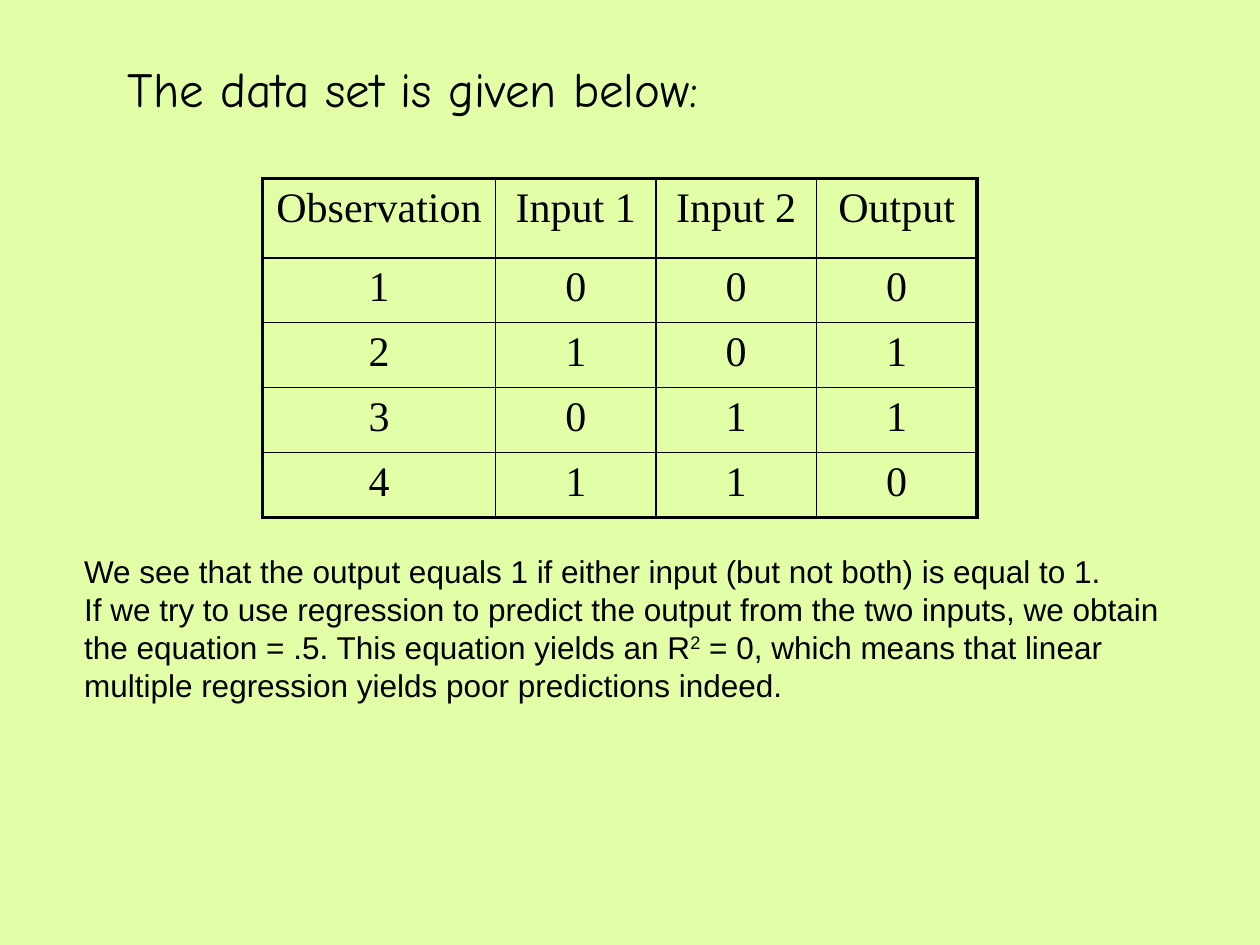
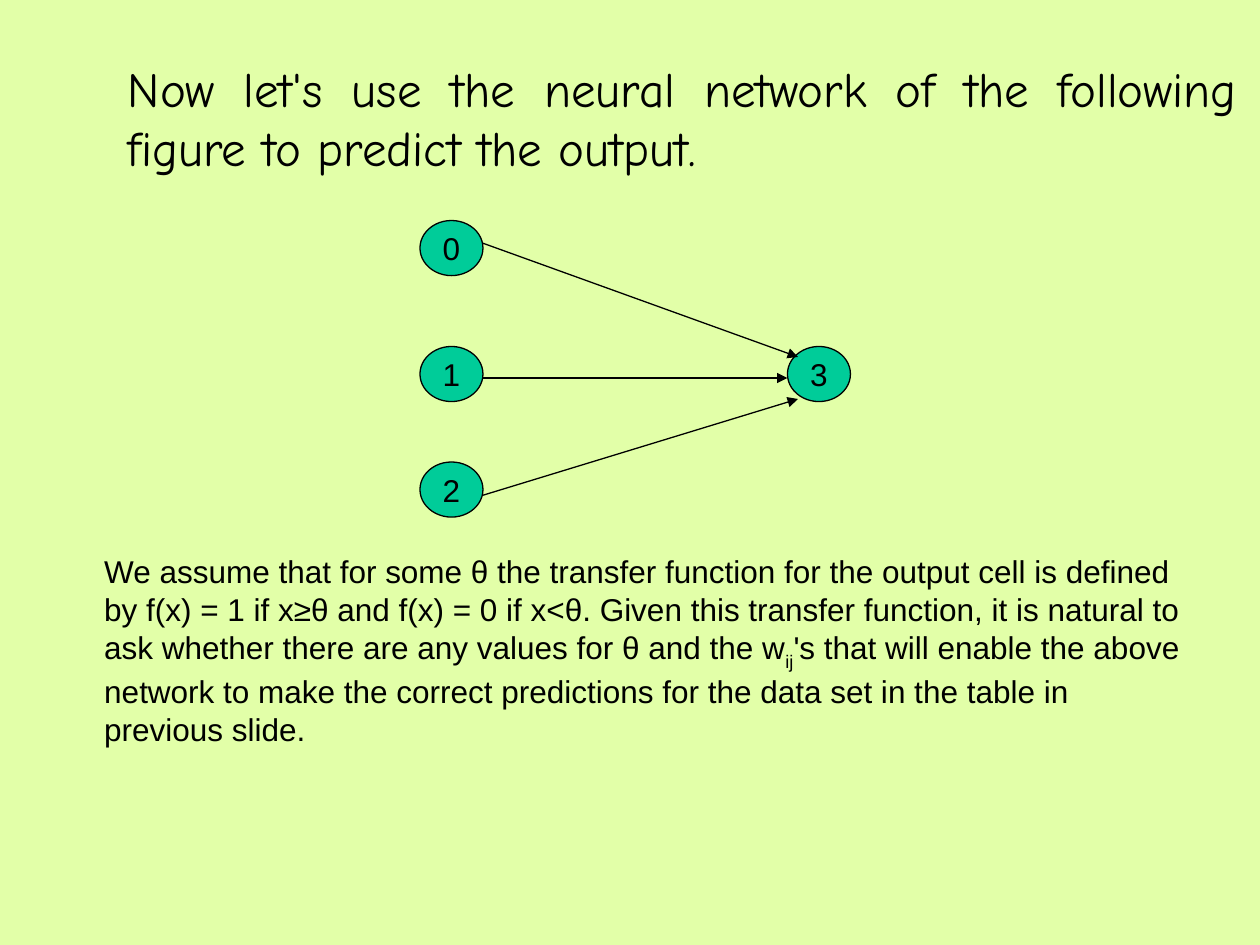
from dataclasses import dataclass

from lxml.etree import SubElement
from pptx import Presentation
from pptx.dml.color import RGBColor
from pptx.enum.shapes import MSO_CONNECTOR as Connector, MSO_SHAPE as Preset
from pptx.enum.text import MSO_ANCHOR as Anchor, PP_ALIGN as Align
from pptx.oxml.ns import qn
from pptx.slide import Slide
from pptx.table import _Cell as Cell
from pptx.text.text import _Paragraph as Paragraph
from pptx.util import Pt

COLOURS = {"background": "E2FFA8", "ink": "000000", "node": "00CC99"}
TITLE_FONT, BODY_FONT, TABLE_FONT = "Comic Neue", "Arial", "Times New Roman"
OUTER_BORDER, INNER_BORDER = Pt(2.25), Pt(1)
THIN_LINE = Pt(0.75)
NODE_WIDTH, NODE_HEIGHT = 36, 31.5
INPUT_X, OUTPUT_X = 240, 450

OBSERVATIONS = [
    ("Observation", "Input 1", "Input 2", "Output"),
    ("1", "0", "0", "0"),
    ("2", "1", "0", "1"),
    ("3", "0", "1", "1"),
    ("4", "1", "1", "0"),
]
COLUMN_WIDTHS = [133.2] + [91.7] * 3
ROW_HEIGHTS = [45.4] + [37.05] * 4


@dataclass(frozen=True)
class Span:
    text: str
    baseline: int = 0


@dataclass(frozen=True)
class TextBlock:
    left: float
    top: float
    width: float
    height: float
    paragraphs: list[list[Span]]
    font: str = BODY_FONT
    size: float = 18
    align: Align = Align.LEFT


@dataclass(frozen=True)
class Node:
    label: str
    left: float
    top: float


@dataclass(frozen=True)
class Arrow:
    start: tuple[float, float]
    end: tuple[float, float]


NODES = [
    Node("0", INPUT_X, 126),
    Node("1", INPUT_X, 198),
    Node("2", INPUT_X, 264),
    Node("3", OUTPUT_X, 198),
]
ARROWS = [
    Arrow((INPUT_X + NODE_WIDTH, 139), (456, 204)),
    Arrow((INPUT_X + NODE_WIDTH, 216), (OUTPUT_X, 216)),
    Arrow((INPUT_X + NODE_WIDTH, 283), (456, 228)),
]
REGRESSION_NOTE = TextBlock(41, 312, 655, 94.5, [
    [Span("We see that the output equals 1 if either input (but not both) is equal to 1.")],
    [
        Span("If we try to use regression to predict the output from the two inputs, "
             "we obtain the equation = .5. This equation yields an R"),
        Span("2", 30000),
        Span(" = 0, which means that linear multiple regression yields poor predictions indeed."),
    ],
])
TRANSFER_NOTE = TextBlock(52.5, 312, 631.5, 180, [[
    Span("We assume that for some θ the transfer function for the output cell is defined "
         "by f(x) = 1 if x≥θ and f(x) = 0 if x<θ. Given this transfer function, it is natural "
         "to ask whether there are any values for θ and the w"),
    Span("ij", -30000),
    Span("'s that will enable the above network to make the correct predictions "
         "for the data set in the table in previous slide."),
]])


def colour(name: str) -> RGBColor:
    return RGBColor.from_string(COLOURS[name])


def style(paragraph: Paragraph, font: str, size: float, align: Align) -> None:
    paragraph.alignment = align
    paragraph.font.name = font
    paragraph.font.size = Pt(size)
    paragraph.font.color.rgb = colour("ink")


def add_text(slide: Slide, block: TextBlock) -> None:
    box = slide.shapes.add_textbox(
        Pt(block.left), Pt(block.top), Pt(block.width), Pt(block.height))
    frame = box.text_frame
    frame.word_wrap = True
    for index, spans in enumerate(block.paragraphs):
        paragraph = frame.add_paragraph() if index else frame.paragraphs[0]
        style(paragraph, block.font, block.size, block.align)
        for span in spans:
            run = paragraph.add_run()
            run.text = span.text
            if span.baseline:
                run._r.get_or_add_rPr().set("baseline", str(span.baseline))


def add_titled_slide(deck: Presentation, title: str, align: Align = Align.LEFT) -> Slide:
    slide = deck.slides.add_slide(deck.slide_layouts[6])
    slide.background.fill.solid()
    slide.background.fill.fore_color.rgb = colour("background")
    add_text(slide, TextBlock(66, 30, 648, 90, [[Span(title)]], TITLE_FONT, 28, align))
    return slide


def set_borders(cell: Cell, widths: dict[str, int]) -> None:
    properties = cell._tc.get_or_add_tcPr()
    for position, (side, width) in enumerate(widths.items()):
        border = SubElement(properties, qn(f"a:ln{side}"), w=str(width))
        fill = SubElement(border, qn("a:solidFill"))
        SubElement(fill, qn("a:srgbClr"), val=COLOURS["ink"])
        properties.insert(position, border)


def add_observations(slide: Slide) -> None:
    row_count, column_count = len(ROW_HEIGHTS), len(COLUMN_WIDTHS)
    table = slide.shapes.add_table(
        row_count, column_count, Pt(150), Pt(102),
        Pt(sum(COLUMN_WIDTHS)), Pt(sum(ROW_HEIGHTS))).table
    table.first_row = table.horz_banding = False
    for column, width in zip(table.columns, COLUMN_WIDTHS):
        column.width = Pt(width)
    for row, height in zip(table.rows, ROW_HEIGHTS):
        row.height = Pt(height)
    for r, values in enumerate(OBSERVATIONS):
        for c, value in enumerate(values):
            cell = table.cell(r, c)
            cell.text = value
            cell.fill.background()
            style(cell.text_frame.paragraphs[0], TABLE_FONT, 24, Align.CENTER)
            on_edge = {"L": c == 0, "R": c == column_count - 1,
                       "T": r == 0, "B": r == row_count - 1}
            set_borders(cell, {side: OUTER_BORDER if outer else INNER_BORDER
                               for side, outer in on_edge.items()})


def add_node(slide: Slide, node: Node) -> None:
    oval = slide.shapes.add_shape(
        Preset.OVAL, Pt(node.left), Pt(node.top), Pt(NODE_WIDTH), Pt(NODE_HEIGHT))
    oval.shadow.inherit = False
    oval.fill.solid()
    oval.fill.fore_color.rgb = colour("node")
    oval.line.color.rgb = colour("ink")
    oval.line.width = THIN_LINE
    frame = oval.text_frame
    frame.word_wrap = False
    frame.vertical_anchor = Anchor.MIDDLE
    frame.text = node.label
    style(frame.paragraphs[0], BODY_FONT, 18, Align.CENTER)


def add_arrow(slide: Slide, arrow: Arrow) -> None:
    link = slide.shapes.add_connector(
        Connector.STRAIGHT, *map(Pt, arrow.start), *map(Pt, arrow.end))
    link.line.color.rgb = colour("ink")
    link.line.width = THIN_LINE
    properties = link._element.spPr
    SubElement(properties.find(qn("a:ln")), qn("a:tailEnd"), type="triangle")
    SubElement(properties, qn("a:effectLst"))


def main() -> None:
    deck = Presentation()
    deck.slide_width, deck.slide_height = Pt(720), Pt(540)

    data_slide = add_titled_slide(deck, "The data set is given below:")
    add_observations(data_slide)
    add_text(data_slide, REGRESSION_NOTE)

    network_slide = add_titled_slide(
        deck,
        "Now let's use the neural network of the following figure to predict the output.",
        Align.JUSTIFY)
    for node in NODES:
        add_node(network_slide, node)
    for arrow in ARROWS:
        add_arrow(network_slide, arrow)
    add_text(network_slide, TRANSFER_NOTE)

    deck.save("out.pptx")


if __name__ == "__main__":
    main()
